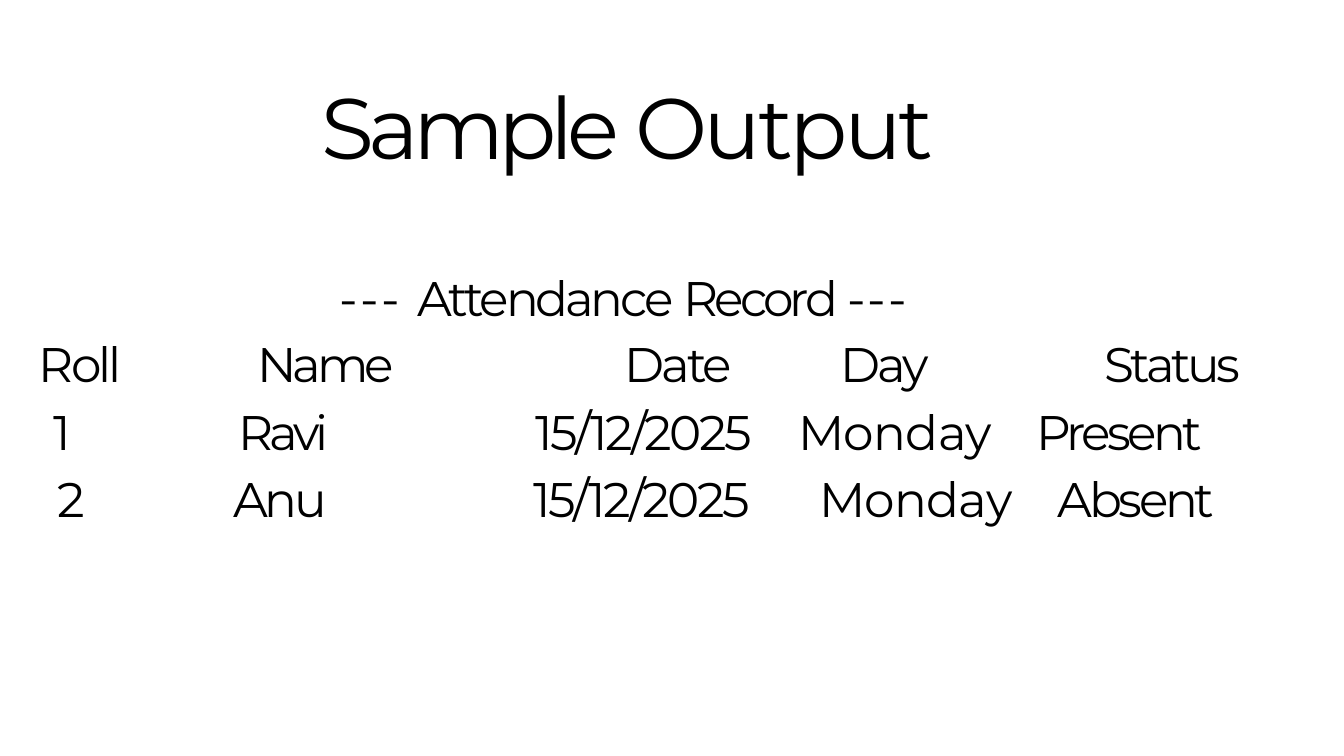
from dataclasses import dataclass

from pptx import Presentation
from pptx.dml.color import RGBColor
from pptx.enum.text import MSO_ANCHOR, MSO_AUTO_SIZE, PP_ALIGN
from pptx.util import Pt

EMU_PER_PX = 9144  # 100 px to the inch


def px(length):
    return length * EMU_PER_PX


@dataclass(frozen=True)
class Theme:
    font: str = "Montserrat"
    ink: RGBColor = RGBColor(0, 0, 0)
    paper: RGBColor = RGBColor(255, 255, 255)
    title_size: int = 92
    body_size: int = 52


@dataclass(frozen=True)
class Entry:
    """Text of a table cell, with its letter spacing in points and indents in px."""
    text: str
    tracking: float
    indent: int = 0
    right_indent: int = 0
    align: PP_ALIGN = PP_ALIGN.LEFT


class SlideBuilder:
    def __init__(self, slide, theme):
        self.slide = slide
        self.theme = theme
        slide.background.fill.solid()
        slide.background.fill.fore_color.rgb = theme.paper

    def format_paragraph(self, paragraph, pieces, size, indent=0, right_indent=0,
                         before=1, align=PP_ALIGN.LEFT):
        paragraph.alignment = align
        paragraph.space_before = Pt(before)
        properties = paragraph._p.get_or_add_pPr()
        properties.set("marL", str(px(indent)))
        properties.set("marR", str(px(right_indent)))
        properties.set("indent", "0")
        for text, tracking in pieces:
            run = paragraph.add_run()
            run.text = text
            run.font.name = self.theme.font
            run.font.size = Pt(size)
            run.font.bold = False
            run.font.color.rgb = self.theme.ink
            run._r.get_or_add_rPr().set("spc", str(round(tracking * 100)))

    def place_text(self, shape, box, pieces, size, top_inset, indent):
        shape.left, shape.top, shape.width, shape.height = map(px, box)
        frame = shape.text_frame
        frame.word_wrap = True
        frame.auto_size = MSO_AUTO_SIZE.NONE
        frame.vertical_anchor = MSO_ANCHOR.TOP
        frame.margin_left = frame.margin_right = frame.margin_bottom = 0
        frame.margin_top = px(top_inset)
        self.format_paragraph(frame.paragraphs[0], pieces, size, indent)

    def title(self, box, pieces, top_inset, indent):
        self.place_text(self.slide.shapes.title, box, pieces,
                        self.theme.title_size, top_inset, indent)

    def text(self, box, pieces, top_inset, indent):
        shape = self.slide.shapes.add_textbox(0, 0, 0, 0)
        self.place_text(shape, box, pieces, self.theme.body_size, top_inset, indent)

    def table(self, left, top, widths, row_height, rows):
        table = self.slide.shapes.add_table(
            len(rows), len(widths), px(left), px(top),
            px(sum(widths)), px(row_height * len(rows))).table
        table.first_row = table.horz_banding = False
        for column, width in zip(table.columns, widths):
            column.width = px(width)
        for row_index, entries in enumerate(rows):
            for column_index, entry in enumerate(entries):
                self.cell(table.cell(row_index, column_index), entry,
                          is_header=row_index == 0)

    def cell(self, cell, entry, is_header):
        cell.fill.background()
        cell.margin_left = cell.margin_right = cell.margin_bottom = 0
        cell.margin_top = px(5 if is_header else 6)
        self.format_paragraph(
            cell.text_frame.paragraphs[0], [(entry.text, entry.tracking)],
            self.theme.body_size, entry.indent, entry.right_indent,
            3.5 if is_header else 4.5, entry.align)


def main():
    presentation = Presentation()
    presentation.slide_width = px(2000)
    presentation.slide_height = px(1125)
    title_only = presentation.slide_layouts[5]
    builder = SlideBuilder(presentation.slides.add_slide(title_only), Theme())

    # Title
    builder.title((141, 60, 1645, 276), [("Sample ", -6.6), ("Output", -3.7)],
                  top_inset=50, indent=338)

    # Record heading
    builder.text((504, 398, 885, 89),
                 [("--", 2.5), ("- ", 2.6), ("Attendance ", -3.4),
                  ("Record ", -3.9), ("--", 2.5), ("-", 2.1)],
                 top_inset=1, indent=1)

    # Attendance table
    right, center = PP_ALIGN.RIGHT, PP_ALIGN.CENTER
    date = "15/12/2025"
    rows = [
        [Entry("Roll", -3.1, 3), Entry("Name", -4.3, 112), Entry("Date", -3.5, 272),
         Entry("Day", -3.2, 97), Entry("Status", -3.9, 120)],
        [Entry("1", -7.8, 24), Entry("Ravi", -4.3, 84),
         Entry(date, -2.7, right_indent=35, align=right),
         Entry("Monday", -0.7, 34), Entry("Present", -3.8, 18)],
        [Entry("2", -6.4, 30), Entry("Anu", -3.3, 76),
         Entry(date, -2.7, right_indent=38, align=right),
         Entry("Monday", -0.7, 48, align=center), Entry("Absent", -3.5, 50)],
    ]
    builder.table(55, 495, [216, 387, 496, 370, 349], 100, rows)

    presentation.save("out.pptx")


if __name__ == "__main__":
    main()
